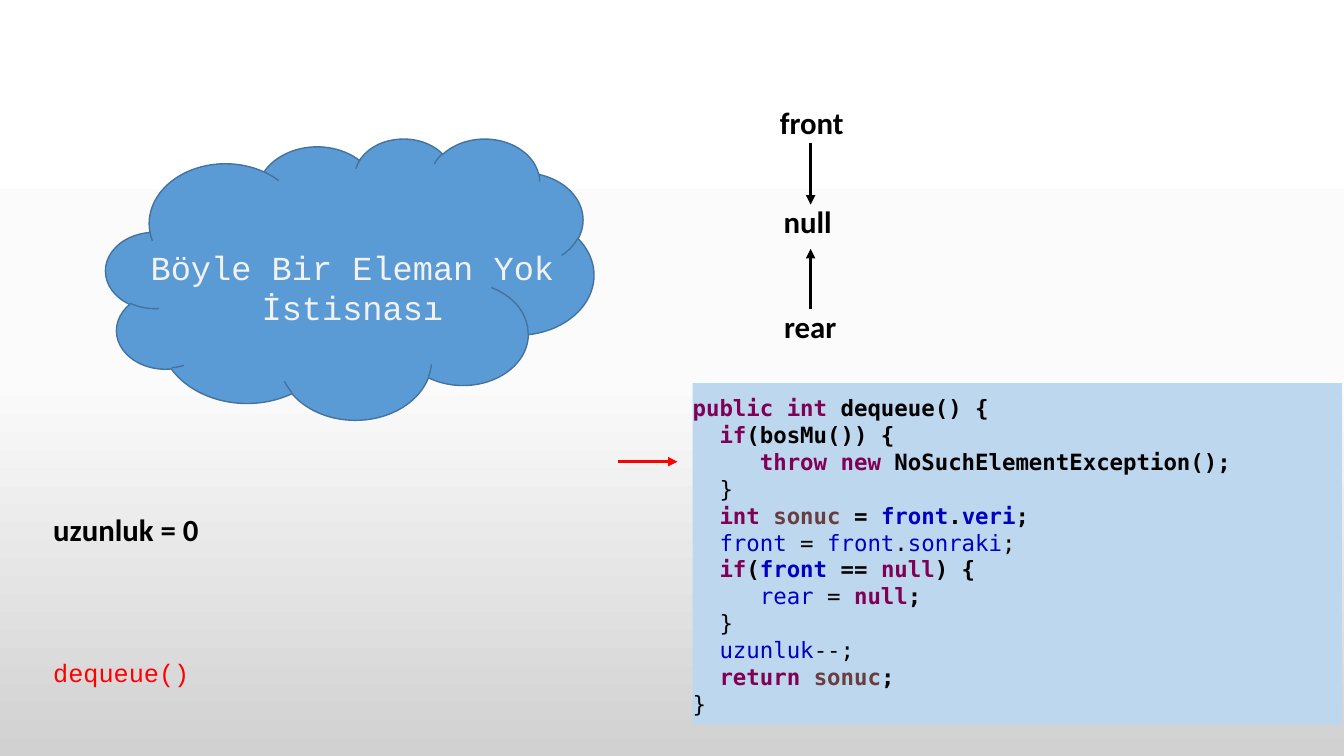
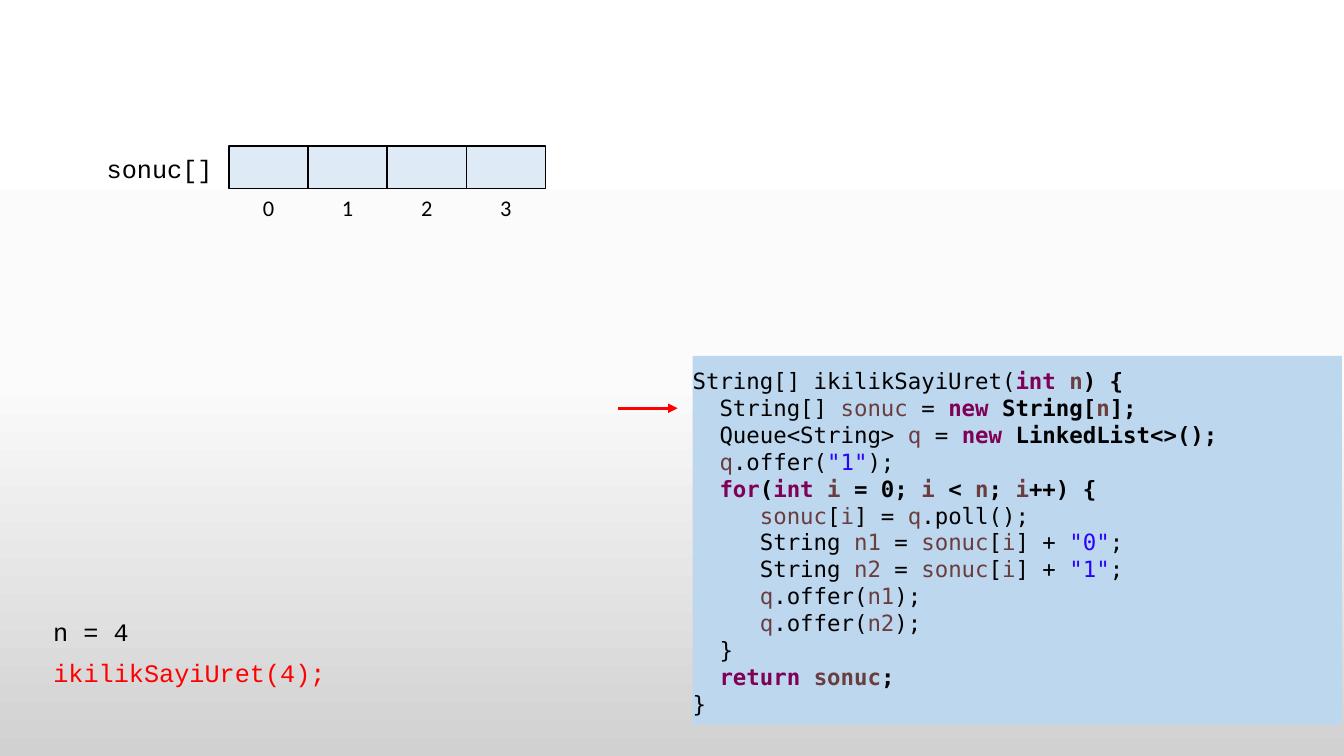
import copy
import itertools

import pptx
import pptx.util
import pptx.dml.color
import pptx.enum.shapes
import pptx.enum.text
import pptx.oxml
import pptx.oxml.ns

Inches, Pt = pptx.util.Inches, pptx.util.Pt
SHAPES = pptx.enum.shapes.MSO_SHAPE
ALIGN = pptx.enum.text.PP_ALIGN

COLORS = {
    "black": "000000", "red": "FF0000", "keyword": "7F0055", "field": "0000C0",
    "local": "6A3E3E", "string": "2A00FF", "panel": "BDD7EE", "cell": "DEEBF7",
    "cloud": "5B9BD5", "cloud edge": "43739E", "cloud text": "F2F2F2",
}
BACKGROUND = [(0, "FFFFFF"), (0.5, "FBFBFB"), (1, "D1D1D1")]
FONTS = {
    "label": {"name": "Calibri", "size": Pt(22), "bold": True},
    "index": {"name": "Calibri", "size": Pt(16), "bold": False},
    "call": {"name": "Courier New", "size": Pt(18), "bold": False},
    "message": {"name": "Courier New", "size": Pt(24), "bold": False},
    "code": {"name": "DejaVu Sans Mono", "size": Pt(16)},
}
WORDS = {
    "keyword": {"public", "int", "if", "throw", "new", "null", "return", "for"},
    "field": {"front", "rear", "veri", "sonraki", "uzunluk"},
    "local": {"sonuc", "n", "i", "q", "n1", "n2"},
}

DEQUEUE = """public int dequeue() {
  if(bosMu()) {
     throw new NoSuchElementException();
  }
  int sonuc = front.veri;
  front = front.sonraki;
  if(front == null) {
     rear = null;
  }
  uzunluk--;
  return sonuc;
}"""
BINARY_NUMBERS = """String[] ikilikSayiUret(int n) {
  String[] sonuc = new String[n];
  Queue<String> q = new LinkedList<>();
  q.offer("1");
  for(int i = 0; i < n; i++) {
     sonuc[i] = q.poll();
     String n1 = sonuc[i] + "0";
     String n2 = sonuc[i] + "1";
     q.offer(n1);
     q.offer(n2);
  }
  return sonuc;
}"""

# text, left, top, width, height, font, colour, centred
QUEUE_LABELS = [
    ("front", 7.63, 0.98, 0.84, 0.47, "label", "black", True),
    ("null", 7.67, 1.96, 0.68, 0.47, "label", "black", True),
    ("rear", 7.67, 3, 0.73, 0.47, "label", "black", True),
    ("uzunluk = 0", 0.43, 5.02, 1.66, 0.47, "label", "black", False),
    ("dequeue()", 0.43, 6.47, 1.57, 0.4, "call", "red", False),
]
ARRAY_LABELS = [
    ("sonuc[]", 0.96, 1.47, 1.27, 0.4, "call", "black", False),
    ("n = 4", 0.43, 6.07, 0.96, 0.4, "call", "black", False),
    ("ikilikSayiUret(4);", 0.43, 6.47, 2.95, 0.4, "call", "red", False),
]
POINTERS = [((8.04, 1.42), (8.04, 2.03)), ((8.04, 3.07), (8.04, 2.47))]
CLOUD = (1.05, 1.37, 4.84, 2.79)
MESSAGE = ("Böyle Bir Eleman Yok\nİstisnası", 1.36, 2.4, 4.27, 0.91,
           "message", "cloud text", True)
ARRAY = {"left": 2.27, "top": 1.45, "width": 3.14, "height": 0.42, "count": 4}
PANEL = {"left": 6.87, "bottom": 7.19, "width": 6.44, "line": 0.27, "padding": 0.15}


def rgb(color):
    return pptx.dml.color.RGBColor.from_string(COLORS.get(color, color))


def set_font(font, style, color):
    for key, value in FONTS[style].items():
        setattr(font, key, value)
    font.color.rgb = rgb(color)


def add_box(slide, kind, place, fill, edge=None):
    box = slide.shapes.add_shape(kind, *map(Inches, place))
    box.shadow.inherit = False
    box.fill.solid()
    box.fill.fore_color.rgb = rgb(fill)
    if edge:
        box.line.color.rgb = rgb(edge)
        box.line.width = Pt(1)
    else:
        box.line.fill.background()
    return box


def add_label(slide, text, left, top, width, height, style, color, centred):
    label = slide.shapes.add_textbox(*map(Inches, (left, top, width, height)))
    frame = label.text_frame
    frame.word_wrap = False
    frame.auto_size = pptx.enum.text.MSO_AUTO_SIZE.SHAPE_TO_FIT_TEXT
    frame.text = text
    for paragraph in frame.paragraphs:
        paragraph.alignment = ALIGN.CENTER if centred else ALIGN.LEFT
        set_font(paragraph.font, style, color)


def add_arrow(slide, start, end, color):
    arrow = slide.shapes.add_connector(
        pptx.enum.shapes.MSO_CONNECTOR.STRAIGHT, *map(Inches, start + end))
    arrow.line.color.rgb = rgb(color)
    arrow.line.width = Pt(2.25)
    namespace = pptx.oxml.ns.nsdecls("a")
    arrow.line._get_or_add_ln().append(
        pptx.oxml.parse_xml(f'<a:tailEnd {namespace} type="triangle"/>'))
    arrow._element.spPr.append(pptx.oxml.parse_xml(f"<a:effectLst {namespace}/>"))


def token_color(token):
    if token.startswith('"'):
        return "string"
    return next((kind for kind, words in WORDS.items() if token in words), "black")


def add_code(slide, code, current_line):
    """Add the highlighted code panel and the arrow to its current line."""
    lines = code.split("\n")
    height = PANEL["line"] * len(lines) + PANEL["padding"]
    top = PANEL["bottom"] - height
    panel = add_box(slide, SHAPES.RECTANGLE,
                    (PANEL["left"], top, PANEL["width"], height), "panel")
    frame = panel.text_frame
    layout = {"margin_left": 0, "margin_right": 0, "margin_top": Inches(0.08),
              "margin_bottom": Inches(0.08), "word_wrap": True,
              "vertical_anchor": pptx.enum.text.MSO_ANCHOR.BOTTOM}
    for key, value in layout.items():
        setattr(frame, key, value)
    for number, line in enumerate(lines):
        paragraph = frame.add_paragraph() if number else frame.paragraphs[0]
        paragraph.alignment = ALIGN.LEFT
        bold = False
        for _, letters in itertools.groupby(line, lambda c: c.isalnum() or c == '"'):
            run = paragraph.add_run()
            run.text = "".join(letters)
            color = token_color(run.text)
            bold = bold or color == "keyword"  # bold runs on to the end of the line
            set_font(run.font, "code", color)
            run.font.bold = bold
    arrow_y = top + 0.26 * current_line
    add_arrow(slide, (6.13, arrow_y), (6.72, arrow_y), "red")


def add_array(slide):
    width = ARRAY["width"] / ARRAY["count"]
    for index in range(ARRAY["count"]):
        left = ARRAY["left"] + index * width
        add_box(slide, SHAPES.RECTANGLE,
                (left, ARRAY["top"], width, ARRAY["height"]), "cell", "black")
        add_label(slide, str(index), left + (width - 0.32) / 2, 1.88, 0.32, 0.37,
                  "index", "black", True)


def set_background(master):
    fill = master.background.fill
    fill.gradient()
    fill.gradient_angle = 270
    stop_list = fill._fill._gradFill.gsLst
    stop_list.insert(1, copy.deepcopy(stop_list[0]))
    for stop, (position, color) in zip(fill.gradient_stops, BACKGROUND):
        stop.position = position
        stop.color.rgb = rgb(color)


def main():
    deck = pptx.Presentation()
    deck.slide_width, deck.slide_height = Inches(13.33), Inches(7.5)
    set_background(deck.slide_master)
    blank = deck.slide_layouts[6]

    queue = deck.slides.add_slide(blank)
    for start, end in POINTERS:
        add_arrow(queue, start, end, "black")
    add_box(queue, SHAPES.CLOUD, CLOUD, "cloud", "cloud edge")
    for label in QUEUE_LABELS + [MESSAGE]:
        add_label(queue, *label)
    add_code(queue, DEQUEUE, 3)

    binary = deck.slides.add_slide(blank)
    for label in ARRAY_LABELS:
        add_label(binary, *label)
    add_array(binary)
    add_code(binary, BINARY_NUMBERS, 2)

    deck.save("out.pptx")


if __name__ == "__main__":
    main()
